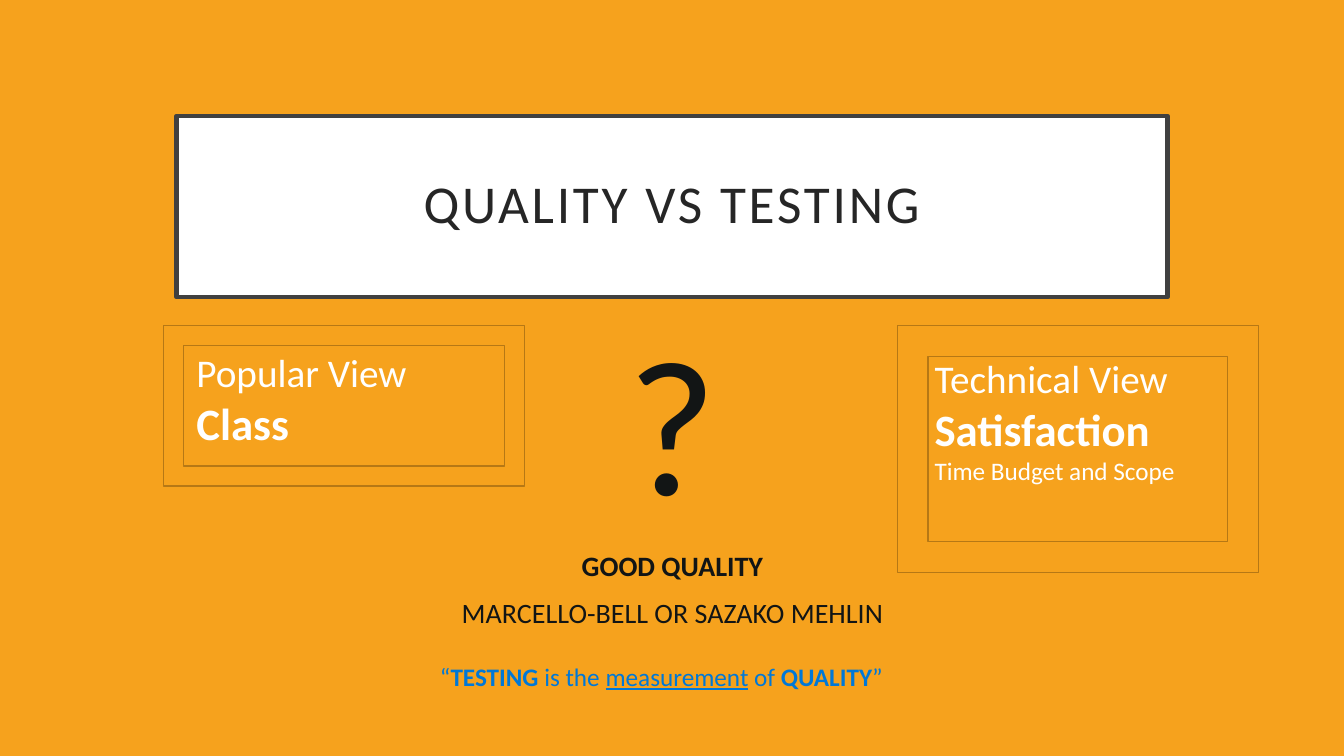
import pptx
import pptx.dml.color
import pptx.enum.shapes
import pptx.enum.text
import pptx.util

Inches = pptx.util.Inches
Pt = pptx.util.Pt
SHAPES = pptx.enum.shapes.MSO_SHAPE
ALIGN = pptx.enum.text.PP_ALIGN
ANCHOR = pptx.enum.text.MSO_ANCHOR

COLORS = {
    "orange": "F6A21D",
    "brown": "B67815",
    "white": "FFFFFF",
    "border": "404040",
    "title": "262626",
    "body": "121515",
    "blue": "0078D7",
}


def rgb(name):
    return pptx.dml.color.RGBColor.from_string(COLORS[name])


def format_run(run, size, color, bold=False, underline=False):
    font = run.font
    font.name = "Calibri"
    font.size = Pt(size)
    font.color.rgb = rgb(color)
    font.bold = bold
    font.underline = underline


def add_box(slide, preset, place, fill, line, width):
    box = slide.shapes.add_shape(preset, *map(Inches, place))
    box.shadow.inherit = False
    box.fill.solid()
    box.fill.fore_color.rgb = rgb(fill)
    box.line.color.rgb = rgb(line)
    box.line.width = Pt(width)
    return box


def add_title(slide, text):
    title = add_box(slide, SHAPES.RECTANGLE, (1.75, 1.15, 9.83, 1.8),
                    "white", "border", 3)
    frame = title.text_frame
    frame.text = text
    frame.word_wrap = True
    frame.vertical_anchor = ANCHOR.MIDDLE
    frame.margin_left = frame.margin_right = Inches(0.3)
    frame.margin_top = frame.margin_bottom = Inches(0.2)
    heading = frame.paragraphs[0]
    heading.alignment = ALIGN.CENTER
    heading.line_spacing = 0.9
    format_run(heading.runs[0], 38, "title")
    heading.runs[0].font._element.set("spc", "200")


def add_lines(slide, place, lines, color, align=ALIGN.LEFT, gap=0):
    """Add a text box with one paragraph for each (text, size, bold)."""
    frame = slide.shapes.add_textbox(*map(Inches, place)).text_frame
    frame.word_wrap = True
    frame.text = "\n".join(text for text, _, _ in lines)
    for index, (paragraph, line) in enumerate(zip(frame.paragraphs, lines)):
        paragraph.alignment = align
        if index:
            paragraph.space_before = Pt(gap)
        format_run(paragraph.runs[0], line[1], color, line[2])


def add_view(slide, frame_place, text_place, lines):
    add_box(slide, SHAPES.FRAME, frame_place, "orange", "brown", 1)
    add_lines(slide, text_place, lines, "white")


def add_quote(slide, place, parts):
    frame = slide.shapes.add_textbox(*map(Inches, place)).text_frame
    frame.word_wrap = False
    quote = frame.paragraphs[0]
    quote.alignment = ALIGN.CENTER
    quote.line_spacing = 1.5
    quote._p.get_or_add_pPr().set("marL", str(Inches(0.12)))
    for text, bold, underline in parts:
        run = quote.add_run()
        run.text = text
        format_run(run, 18, "blue", bold, underline)


def main():
    deck = pptx.Presentation()
    deck.slide_width, deck.slide_height = Inches(13.33), Inches(7.5)
    slide = deck.slides.add_slide(deck.slide_layouts[6])
    slide.background.fill.solid()
    slide.background.fill.fore_color.rgb = rgb("orange")

    # Title and central question
    add_title(slide, "QUALITY VS TESTING")
    add_lines(slide, (2.95, 2.95, 7.44, 3.51), [
        ("?", 138, False),
        ("GOOD QUALITY", 20, True),
        ("MARCELLO-BELL OR SAZAKO MEHLIN", 20, False),
    ], "body", ALIGN.CENTER, 10)

    # The two views
    add_view(slide, (8.9, 3.23, 3.58, 2.45), (9.17, 3.47, 2.75, 1.41), [
        ("Technical View", 28, False),
        ("Satisfaction", 32, True),
        ("Time Budget and Scope", 18, False),
    ])
    add_view(slide, (1.62, 3.23, 3.58, 1.59), (1.85, 3.41, 2.75, 1.11), [
        ("Popular View", 28, False),
        ("Class", 32, True),
    ])

    # Closing quote
    add_quote(slide, (3.82, 6.36, 5.36, 0.56), [
        ("“", False, False),
        ("TESTING ", True, False),
        ("is the ", False, False),
        ("measurement", False, True),
        (" of ", False, False),
        ("QUALITY", True, False),
        ("”", False, False),
    ])

    deck.save("out.pptx")


if __name__ == "__main__":
    main()
